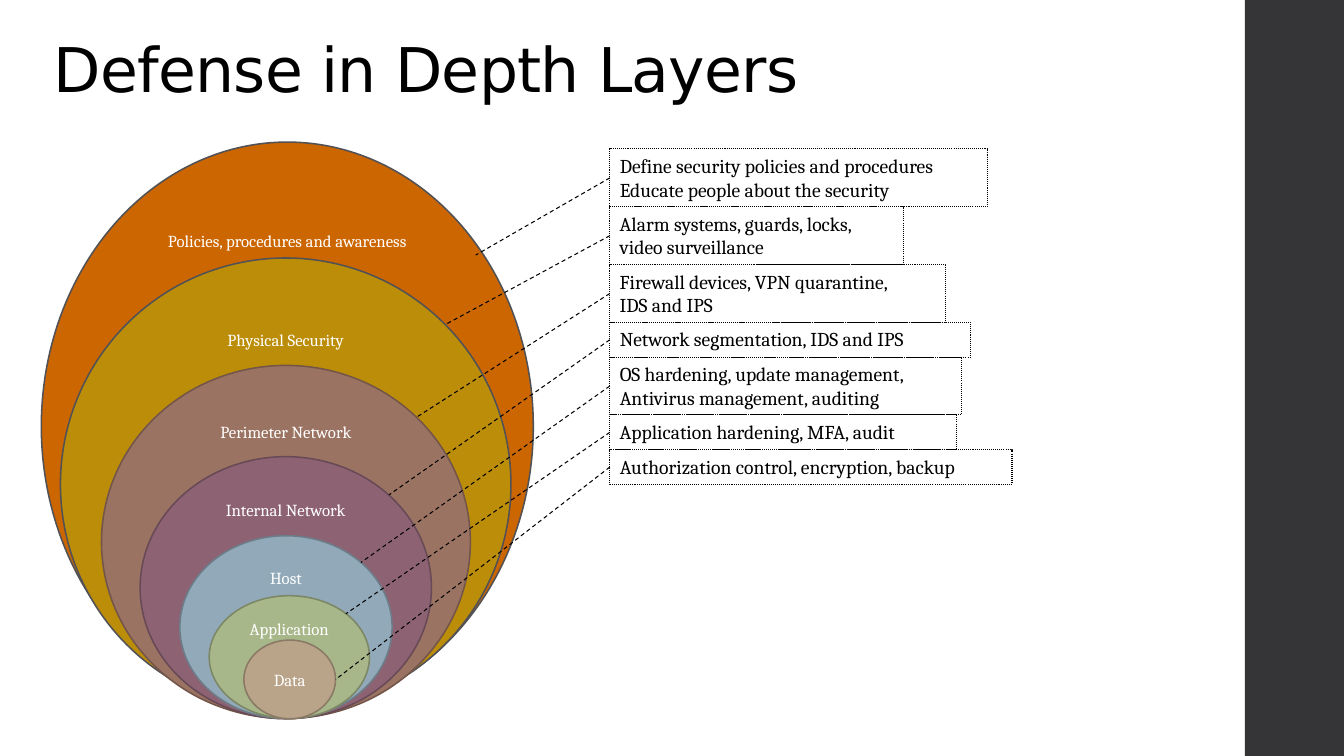
import pptx
import pptx.util
import pptx.dml.color
import pptx.enum.dml
import pptx.enum.shapes
import pptx.enum.text
import pptx.oxml.ns
import lxml.etree

Pt = pptx.util.Pt
RGBColor = pptx.dml.color.RGBColor
Shape = pptx.enum.shapes.MSO_SHAPE
Dash = pptx.enum.dml.MSO_LINE
Anchor = pptx.enum.text.MSO_ANCHOR
Align = pptx.enum.text.PP_ALIGN

BLACK = RGBColor(0x00, 0x00, 0x00)
WHITE = RGBColor(0xFF, 0xFF, 0xFF)
DARK = RGBColor(0x35, 0x35, 0x37)
SLATE = RGBColor(0x52, 0x52, 0x56)
ORANGE = RGBColor(0xCC, 0x66, 0x00)
GOLD = RGBColor(0xBC, 0x8D, 0x08)
BROWN = RGBColor(0x9B, 0x73, 0x62)
BROWN_EDGE = RGBColor(0x73, 0x55, 0x49)
PLUM = RGBColor(0x8D, 0x63, 0x74)
PLUM_EDGE = RGBColor(0x68, 0x49, 0x56)
BLUE = RGBColor(0x92, 0xA9, 0xB9)
BLUE_EDGE = RGBColor(0x6C, 0x7D, 0x89)
GREEN = RGBColor(0xA7, 0xB7, 0x89)
GREEN_EDGE = RGBColor(0x7C, 0x87, 0x65)
TAN = RGBColor(0xB9, 0xA4, 0x89)
TAN_EDGE = RGBColor(0x89, 0x79, 0x65)


def write(shape, text, size=12, font="Cambria", color=BLACK, align=Align.LEFT,
          anchor=Anchor.TOP, lead=None, track=None):
    frame = shape.text_frame
    frame.word_wrap = True
    frame.vertical_anchor = anchor
    frame.text = text
    for para in frame.paragraphs:
        para.alignment = align
        para.line_spacing = lead
        for run in para.runs:
            run.font.size = Pt(size)
            run.font.name = font
            run.font.color.rgb = color
            if track:
                run.font._element.set("spc", str(track))


deck = pptx.Presentation()
deck.slide_width = Pt(960)
deck.slide_height = Pt(540)
slide = deck.slides.add_slide(deck.slide_layouts[6])
shapes = slide.shapes

band = shapes.add_shape(Shape.RECTANGLE, Pt(889.2), Pt(0), Pt(70.8), Pt(540))
band.shadow.inherit = False
band.fill.solid()
band.fill.fore_color.rgb = DARK
band.line.fill.background()

title = shapes.add_textbox(Pt(31), Pt(15.8), Pt(831.6), Pt(63.4))
write(title, "Defense in Depth Layers", size=44, font="DejaVu Sans",
      anchor=Anchor.BOTTOM, lead=0.9, track=-50)

layers = [
    ("Policies, procedures and awareness", 29.5, 101.5, 351.4, 406.1, ORANGE, SLATE),
    ("Physical Security", 43.2, 184.3, 321.8, 323.3, GOLD, SLATE),
    ("Perimeter Network", 72.5, 261, 263.5, 252.2, BROWN, BROWN_EDGE),
    ("Internal Network", 100.1, 326.2, 208.1, 187.2, PLUM, PLUM_EDGE),
    ("Host", 128.5, 382.7, 151.6, 130.5, BLUE, BLUE_EDGE),
    ("Application", 149.4, 425.5, 114.5, 87.7, GREEN, GREEN_EDGE),
    ("Data", 174.2, 457.2, 65.5, 56.2, TAN, TAN_EDGE),
]
for name, left, top, width, height, fill, edge in layers:
    oval = shapes.add_shape(Shape.FLOWCHART_CONNECTOR,
                            Pt(left), Pt(top), Pt(width), Pt(height))
    oval.shadow.inherit = False
    oval.fill.solid()
    oval.fill.fore_color.rgb = fill
    oval.line.color.rgb = edge
    oval.line.width = Pt(1.1)
    write(oval, name, color=WHITE, align=Align.CENTER,
          anchor=Anchor.MIDDLE if name == "Data" else Anchor.TOP)

notes = [
    ("Define security policies and procedures\nEducate people about the security",
     269.6, 339.8, 182.2),
    ("Alarm systems, guards, locks,\nvideo surveillance", 209.7, 318.2, 231.8),
    ("Firewall devices, VPN quarantine,\nIDS and IPS", 239.8, 297.4, 298.1),
    ("Network segmentation, IDS and IPS", 257.8, 277.9, 353.5),
    ("OS hardening, update management,\nAntivirus management, auditing",
     251.3, 257.8, 401.8),
    ("Application hardening, MFA, audit", 247.7, 247, 438.5),
    ("Authorization control, encryption, backup", 287.3, 239.8, 485.3),
]
left, top = 435.6, 106.4
for text, width, tip_x, tip_y in notes:
    height = 41.3 if "\n" in text else 24.8
    box = shapes.add_shape(Shape.RECTANGLE, Pt(left), Pt(top), Pt(width), Pt(height))
    box.shadow.inherit = False
    box.fill.background()
    box.line.color.rgb = BLACK
    box.line.width = Pt(0.75)
    box.line.dash_style = Dash.ROUND_DOT
    write(box, text, size=14)

    link = shapes.add_connector(pptx.enum.shapes.MSO_CONNECTOR.STRAIGHT, Pt(left),
                                Pt(top + height / 2), Pt(tip_x), Pt(tip_y))
    link.begin_connect(box, 1)
    link.line.color.rgb = BLACK
    link.line.width = Pt(0.75)
    link.line.dash_style = Dash.DASH
    lxml.etree.SubElement(link._element.spPr, pptx.oxml.ns.qn("a:effectLst"))
    top += height

deck.save("out.pptx")
